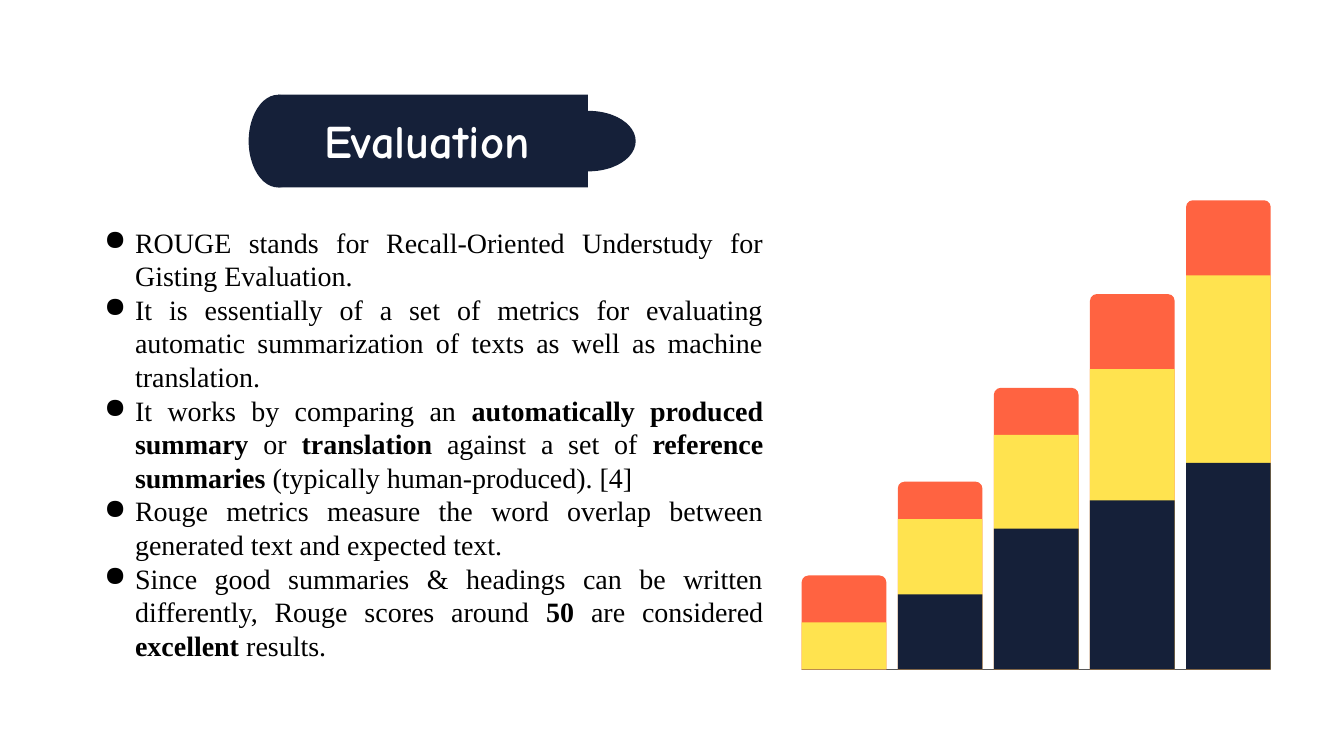
import dataclasses
import typing

import lxml.etree
import pptx
import pptx.dml.color
import pptx.enum.shapes
import pptx.enum.text
import pptx.oxml.ns
import pptx.util

Inches = pptx.util.Inches
Shape = pptx.enum.shapes.MSO_SHAPE
Align = pptx.enum.text.PP_ALIGN


@dataclasses.dataclass(frozen=True)
class Theme:
    navy: str = "152039"
    gold: str = "FFE34F"
    coral: str = "FF6341"
    black: str = "000000"
    white: str = "FFFFFF"
    head_font: str = "Comic Neue"
    body_font: str = "Times New Roman"
    head_size: float = 50
    body_size: float = 30


class Box(typing.NamedTuple):
    left: float
    top: float
    width: float
    height: float


class Bar(typing.NamedTuple):
    """Heights of the colour edges, in percent of the tallest bar."""
    navy: float
    gold: float
    coral: float


THEME = Theme()
BARS = [Bar(0, 10, 20), Bar(16, 32, 40), Bar(30, 50, 60),
        Bar(36, 64, 80), Bar(44, 84, 100)]
BAR_LEFT, BAR_BASE, BAR_WIDTH, BAR_STEP = 11.93, 9.96, 1.26, 1.43
BAR_MAX = 6.98
BANNER = Box(4.14, 1.41, 4.61, 1.38)

# Double stars mark bold words.
POINTS = [
    "ROUGE stands for Recall-Oriented Understudy for Gisting Evaluation.",
    "It is essentially of a set of metrics for evaluating automatic "
    "summarization of texts as well as machine translation.",
    "It works by comparing an **automatically produced summary** or "
    "**translation** against a set of **reference summaries** "
    "(typically human-produced). [4]",
    "Rouge metrics measure the word overlap between generated text and "
    "expected text.",
    "Since good summaries & headings can be written differently, Rouge "
    "scores around **50** are considered **excellent** results.",
]


def draw(slide, kind, box: Box, fill: str):
    shape = slide.shapes.add_shape(kind, *map(Inches, box))
    shape.shadow.inherit = False
    shape.fill.solid()
    shape.fill.fore_color.rgb = pptx.dml.color.RGBColor.from_string(fill)
    shape.line.fill.background()
    return shape


def place(shape, box: Box) -> None:
    shape.left, shape.top, shape.width, shape.height = map(Inches, box)


def set_frame(shape) -> None:
    frame = shape.text_frame
    frame.word_wrap = True
    frame.auto_size = pptx.enum.text.MSO_AUTO_SIZE.NONE
    frame.vertical_anchor = pptx.enum.text.MSO_ANCHOR.TOP
    frame.margin_left = frame.margin_right = 0
    frame.margin_top = frame.margin_bottom = 0


def write(para, text: str, *, font: str, size: float, color: str,
          align, bold: bool = False, space: float = 1) -> None:
    """Fill a paragraph; words between double stars turn bold."""
    para.alignment = align
    para.line_spacing = space
    for i, part in enumerate(text.split("**")):
        run = para.add_run()
        run.text = part
        run.font.name = font
        run.font.size = pptx.util.Pt(size)
        run.font.bold = bold or i % 2 == 1
        run.font.color.rgb = pptx.dml.color.RGBColor.from_string(color)


def add_bullet(para, char: str, indent: float, hang: float) -> None:
    props = para._p.get_or_add_pPr()
    props.set("marL", str(Inches(indent)))
    props.set("indent", str(-Inches(hang)))
    mark = lxml.etree.SubElement(props, pptx.oxml.ns.qn("a:buChar"))
    mark.set("char", char)


def draw_bar(slide, left: float, bar: Bar) -> None:
    layers = [(bar.coral, THEME.coral, Shape.ROUND_2_SAME_RECTANGLE),
              (bar.gold, THEME.gold, Shape.RECTANGLE),
              (bar.navy, THEME.navy, Shape.RECTANGLE)]
    for value, fill, kind in layers:
        if value:
            tall = BAR_MAX * value / 100
            box = Box(left, BAR_BASE - tall, BAR_WIDTH, tall)
            shape = draw(slide, kind, box, fill)
            if kind == Shape.ROUND_2_SAME_RECTANGLE:
                shape.adjustments[0] = 0.08


def draw_chart(slide) -> None:
    width = BAR_STEP * (len(BARS) - 1) + BAR_WIDTH
    draw(slide, Shape.RECTANGLE, Box(BAR_LEFT, BAR_BASE, width, 0.01),
         THEME.black)
    for i, bar in enumerate(BARS):
        draw_bar(slide, BAR_LEFT + i * BAR_STEP, bar)


def draw_points(slide) -> None:
    box = Box(1.51, 3.35, 9.85, 6.56)
    shape = slide.shapes.add_textbox(*map(Inches, box))
    set_frame(shape)
    frame = shape.text_frame
    for i, text in enumerate(POINTS):
        para = frame.add_paragraph() if i else frame.paragraphs[0]
        write(para, text, font=THEME.body_font, size=THEME.body_size,
              color=THEME.black, align=Align.JUSTIFY)
        add_bullet(para, "●", 0.5, 0.46)


def draw_title(slide) -> None:
    draw(slide, Shape.OVAL, Box(3.7, BANNER.top, 0.88, BANNER.height),
         THEME.navy)
    draw(slide, Shape.OVAL, Box(8.06, 1.65, 1.4, 0.9), THEME.navy)
    draw(slide, Shape.RECTANGLE, BANNER, THEME.navy)
    title = slide.shapes.title
    place(title, Box(3.87, 1.95, 4.97, 0.52))
    set_frame(title)
    write(title.text_frame.paragraphs[0], "Evaluation",
          font=THEME.head_font, size=THEME.head_size, color=THEME.white,
          align=Align.CENTER, bold=True, space=0.62)
    slide.shapes._spTree.append(title._element)  # in front of the banner


def main() -> None:
    deck = pptx.Presentation()
    deck.slide_width, deck.slide_height = Inches(20), Inches(11.25)
    slide = deck.slides.add_slide(deck.slide_layouts[5])
    draw_chart(slide)
    draw_points(slide)
    draw_title(slide)
    deck.save("out.pptx")


if __name__ == "__main__":
    main()
